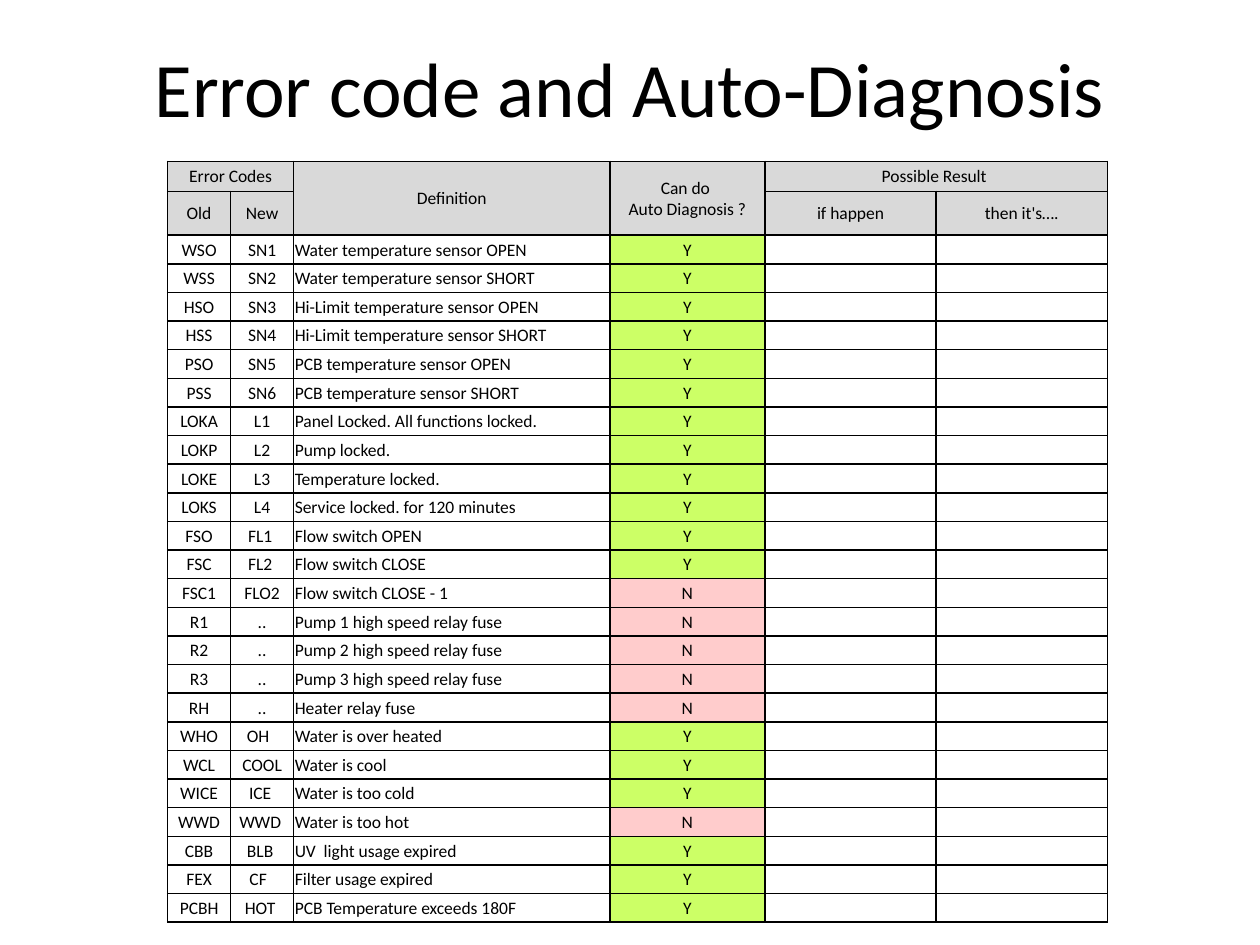
"""Build the slide of error codes and their automatic diagnosis."""
from lxml.etree import SubElement
from pptx import Presentation
from pptx.dml.color import RGBColor
from pptx.enum.text import MSO_ANCHOR as Anchor, PP_ALIGN as Align
from pptx.oxml.ns import qn
from pptx.util import Inches, Pt

COLUMN_WIDTHS = [0.5, 0.5, 2.51, 1.23, 1.36, 1.36]
HEADER_HEIGHT = 0.24
BODY_HEIGHT = 5.46
HEADERS = [
    ["Error Codes", "", "Definition", "Can do \nAuto Diagnosis ?", "Possible Result ", ""],
    ["Old", "New", "", "", "if happen", "then it's…."],
]
HEADER_MERGES = [((0, 0), (0, 1)), ((0, 2), (1, 2)), ((0, 3), (1, 3)), ((0, 4), (0, 5))]
ERRORS = [
    ("WSO", "SN1", "Water temperature sensor OPEN", "Y"),
    ("WSS", "SN2", "Water temperature sensor SHORT", "Y"),
    ("HSO", "SN3", "Hi-Limit temperature sensor OPEN", "Y"),
    ("HSS", "SN4", "Hi-Limit temperature sensor SHORT", "Y"),
    ("PSO", "SN5", "PCB temperature sensor OPEN", "Y"),
    ("PSS", "SN6", "PCB temperature sensor SHORT", "Y"),
    ("LOKA", "L1", "Panel Locked. All functions locked.", "Y"),
    ("LOKP", "L2", "Pump locked.", "Y"),
    ("LOKE", "L3", "Temperature locked.", "Y"),
    ("LOKS", "L4", "Service locked. for 120 minutes", "Y"),
    ("FSO", "FL1 ", "Flow switch OPEN", "Y"),
    ("FSC", "FL2 ", "Flow switch CLOSE", "Y"),
    ("FSC1", "FLO2", "Flow switch CLOSE - 1", "N"),
    ("R1", "..", "Pump 1 high speed relay fuse", "N"),
    ("R2", "..", "Pump 2 high speed relay fuse", "N"),
    ("R3", "..", "Pump 3 high speed relay fuse", "N"),
    ("RH", "..", "Heater relay fuse", "N"),
    ("WHO", "OH  ", "Water is over heated", "Y"),
    ("WCL", "COOL", "Water is cool", "Y"),
    ("WICE", "ICE ", "Water is too cold", "Y"),
    ("WWD", "WWD ", "Water is too hot", "N"),
    ("CBB", "BLB ", "UV  light usage expired", "Y"),
    ("FEX", "CF  ", "Filter usage expired", "Y"),
    ("PCBH", "HOT ", "PCB Temperature exceeds 180F", "Y"),
]


def color(value):
    """Turn a hex string into a colour."""
    return RGBColor.from_string(value)


class SlideBuilder:
    """Hold the style and the current slide."""

    font_name = "Calibri"
    ink = "000000"
    header_fill = "D9D9D9"
    answer_fills = {"Y": "CCFF66", "N": "FFCCCC"}
    title_size = 44
    cell_size = 10
    border_width = 1

    def __init__(self, page):
        """Remember the slide to fill."""
        self.page = page

    def style(self, paragraph, size, align):
        """Set the font and alignment of a paragraph."""
        paragraph.alignment = align
        paragraph.font.name = self.font_name
        paragraph.font.size = Pt(size)
        paragraph.font.color.rgb = color(self.ink)

    def title(self, text, left, top, width, height):
        """Fill and place the title placeholder."""
        box = self.page.shapes.title
        box.left, box.top = Inches(left), Inches(top)
        box.width, box.height = Inches(width), Inches(height)
        box.text_frame.text = text
        box.text_frame.vertical_anchor = Anchor.MIDDLE
        self.style(box.text_frame.paragraphs[0], self.title_size, Align.CENTER)

    def border(self, cell):
        """Draw a solid line on each side of a cell."""
        properties = cell._tc.get_or_add_tcPr()
        for side in ("a:lnL", "a:lnR", "a:lnT", "a:lnB"):
            line = SubElement(properties, qn(side), w=str(Pt(self.border_width)))
            SubElement(SubElement(line, qn("a:solidFill")), qn("a:srgbClr"), val=self.ink)

    def cell(self, cell, text, align, fill):
        """Format one table cell."""
        self.border(cell)
        cell.margin_left = cell.margin_right = cell.margin_top = Inches(0.01)
        cell.margin_bottom = 0
        cell.vertical_anchor = Anchor.MIDDLE
        paragraph = cell.text_frame.paragraphs[0]
        if text:
            paragraph.text = text
        else:
            SubElement(paragraph._p, qn("a:endParaRPr"), sz=str(self.cell_size * 100))
        self.style(paragraph, self.cell_size, align)
        if fill:
            cell.fill.solid()
            cell.fill.fore_color.rgb = color(fill)
        else:
            cell.fill.background()

    def error_table(self, left, top):
        """Add the table of error codes."""
        rows = HEADERS + [[*error, "", ""] for error in ERRORS]
        height = HEADER_HEIGHT * len(HEADERS) + BODY_HEIGHT
        table = self.page.shapes.add_table(
            len(rows), len(COLUMN_WIDTHS), Inches(left), Inches(top),
            Inches(sum(COLUMN_WIDTHS)), Inches(height)).table
        table.first_row = table.horz_banding = False
        for column, width in zip(table.columns, COLUMN_WIDTHS):
            column.width = Inches(width)
        for row_index, values in enumerate(rows):
            is_header = row_index < len(HEADERS)
            table.rows[row_index].height = Inches(
                HEADER_HEIGHT if is_header else BODY_HEIGHT / len(ERRORS))
            for column_index, text in enumerate(values):
                is_definition = column_index == 2 and not is_header
                self.cell(
                    table.cell(row_index, column_index), text,
                    Align.LEFT if is_definition else Align.CENTER,
                    self.header_fill if is_header else self.answer_fills.get(text))
        for first, last in HEADER_MERGES:
            table.cell(*first).merge(table.cell(*last))


def main():
    """Build and save the deck."""
    deck = Presentation()
    deck.slide_width, deck.slide_height = Inches(10), Inches(7.5)
    builder = SlideBuilder(deck.slides.add_slide(deck.slide_layouts[5]))
    builder.title("Error code and Auto-Diagnosis", 0.5, 0.06, 9, 1.25)
    builder.error_table(1.33, 1.28)
    deck.save("out.pptx")


if __name__ == "__main__":
    main()
